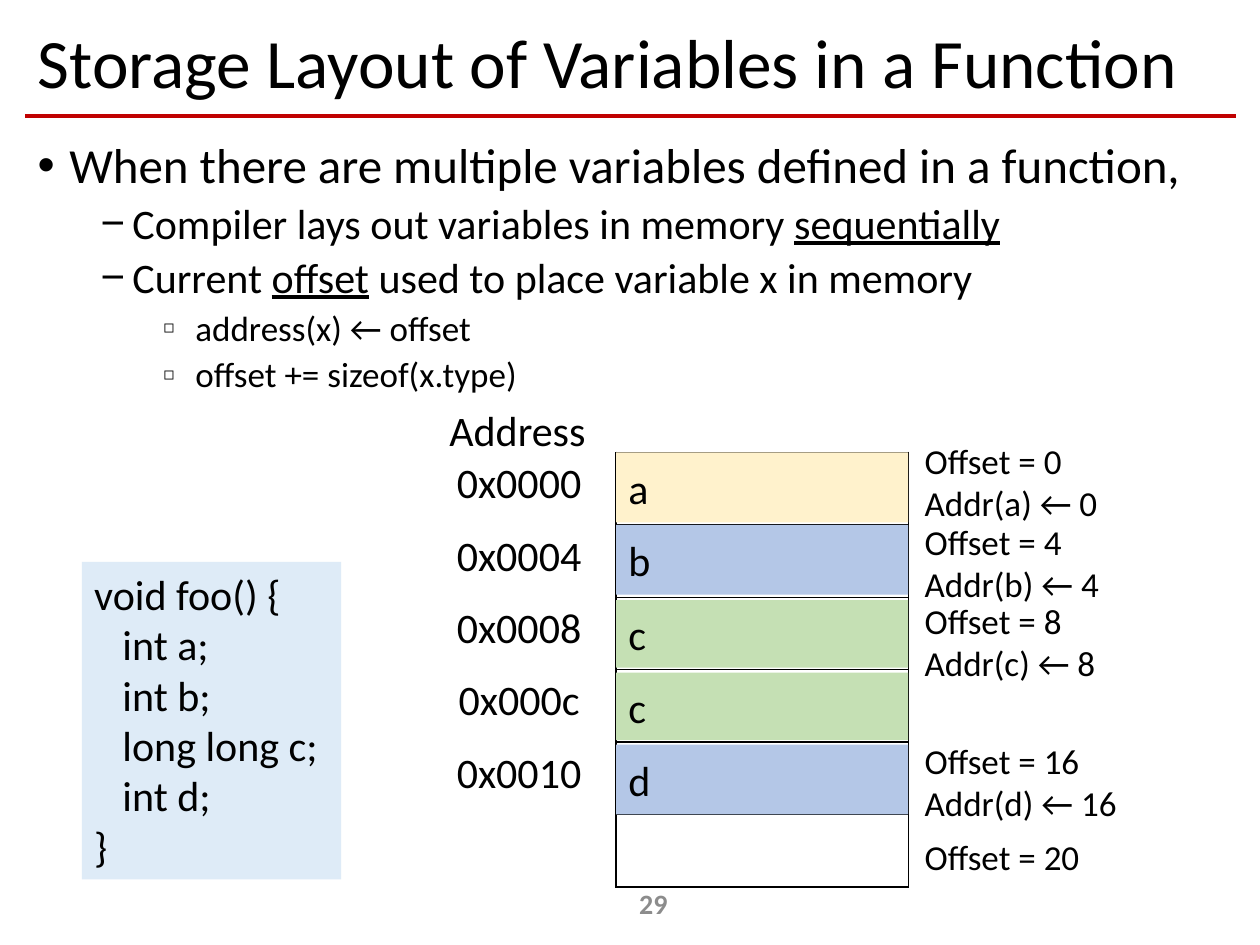
from dataclasses import dataclass
from lxml.etree import SubElement
from pptx import Presentation
from pptx.dml.color import RGBColor
from pptx.enum.shapes import MSO_CONNECTOR, MSO_SHAPE
from pptx.enum.text import MSO_ANCHOR, PP_ALIGN
from pptx.oxml import parse_xml
from pptx.oxml.ns import nsdecls, qn
from pptx.util import Cm, Pt


@dataclass(frozen=True)
class Theme:
    font: str = "Calibri"
    black: str = "000000"
    gray: str = "8C8C8C"
    red: str = "C00000"
    code: str = "DEEBF7"
    yellow: str = "FFF2CC"
    blue: str = "B4C7E7"
    green: str = "C5E0B4"
    title: float = 39.6
    heading: int = 28
    normal: int = 24
    small: int = 20
    page: int = 16


THEME = Theme()
# Bullet levels: left indent (cm), type size, space before, character, bullet percent
LEVELS = [
    (0.64, THEME.heading, 10, "•", 100),
    (1.91, THEME.normal, 5, "−", 100),
    (3.18, THEME.small, 5, "◻", 50),
]
ROW = 1.46
ROW_COUNT = 6


def write(paragraph, text, size=THEME.normal, color=THEME.black, bold=False,
          align=PP_ALIGN.LEFT, spacing=None, before=None, indent=0, hanging=0):
    """Write one paragraph; parts between underscores are underlined."""
    paragraph.alignment = align
    if spacing:
        paragraph.line_spacing = spacing
    if before is not None:
        paragraph.space_before = Pt(before)
    if indent:
        properties = paragraph._p.get_or_add_pPr()
        properties.set("marL", str(Cm(indent)))
        properties.set("indent", str(Cm(-hanging)))
    for index, part in enumerate(text.split("_")):
        if part:
            run = paragraph.add_run()
            run.text = part
            run.font.name = THEME.font
            run.font.size = Pt(size)
            run.font.bold = bold
            run.font.color.rgb = RGBColor.from_string(color)
            if index % 2:
                run.font.underline = True


def next_paragraph(frame, index):
    return frame.add_paragraph() if index else frame.paragraphs[0]


def add_text_box(slide, box, lines=(), anchor=MSO_ANCHOR.TOP, wrap=True, **style):
    frame = slide.shapes.add_textbox(*map(Cm, box)).text_frame
    frame.word_wrap = wrap
    frame.vertical_anchor = anchor
    for index, line in enumerate(lines):
        write(next_paragraph(frame, index), line, **style)
    return frame


def add_block(slide, box, color, anchor=MSO_ANCHOR.MIDDLE):
    shape = slide.shapes.add_shape(MSO_SHAPE.RECTANGLE, *map(Cm, box))
    shape.shadow.inherit = False
    shape.fill.solid()
    shape.fill.fore_color.rgb = RGBColor.from_string(color)
    shape.line.fill.background()
    shape.text_frame.vertical_anchor = anchor
    return shape.text_frame


def add_column(slide, box, texts, border=None):
    """Add a table of one column, with a black grid or none."""
    height = box[3]
    table = slide.shapes.add_table(len(texts), 1, *map(Cm, box)).table
    table.first_row = table.horz_banding = False
    for row, text in zip(table.rows, texts):
        row.height = Cm(height / len(texts))
        cell = row.cells[0]
        cell.fill.background()
        write(cell.text_frame.paragraphs[0], text, align=PP_ALIGN.CENTER)
        paint = f'<a:solidFill><a:srgbClr val="{border}"/></a:solidFill>' if border else "<a:noFill/>"
        for index, side in enumerate(("lnL", "lnR", "lnT", "lnB")):
            line = parse_xml(f'<a:{side} {nsdecls("a")} w="12700">{paint}</a:{side}>')
            cell._tc.get_or_add_tcPr().insert(index, line)


def add_title(slide, box):
    left, top, width, height = box
    rule = slide.shapes.add_connector(MSO_CONNECTOR.STRAIGHT, Cm(left), Cm(top + height),
                                      Cm(left + width), Cm(top + height))
    rule.line.color.rgb = RGBColor.from_string(THEME.red)
    rule.line.width = Pt(2.5)
    SubElement(rule._element.spPr, qn("a:effectLst"))
    add_text_box(slide, box, ["Storage Layout of Variables in a Function"],
                 anchor=MSO_ANCHOR.MIDDLE, size=THEME.title, spacing=0.9)


def add_bullets(slide, box):
    bullets = [
        (0, "When there are multiple variables defined in a function,"),
        (1, "Compiler lays out variables in memory _sequentially_"),
        (1, "Current _offset_ used to place variable x in memory"),
        (2, "address(x) ← offset"),
        (2, "offset += sizeof(x.type)"),
    ]
    frame = add_text_box(slide, box)
    for index, (level, text) in enumerate(bullets):
        indent, size, before, character, percent = LEVELS[level]
        paragraph = next_paragraph(frame, index)
        paragraph.level = level
        write(paragraph, text, size=size, spacing=0.9, before=before, indent=indent, hanging=0.64)
        properties = paragraph._p.get_or_add_pPr()
        SubElement(properties, qn("a:buSzPct")).set("val", str(percent * 1000))
        SubElement(properties, qn("a:buFont")).set("typeface", "Arial")
        SubElement(properties, qn("a:buChar")).set("char", character)


def add_code(slide, box):
    frame = add_block(slide, box, THEME.code, anchor=MSO_ANCHOR.TOP)
    frame.word_wrap = False
    lines = [("void foo() {", 0), ("int a;", 0.57), ("int b;", 0.57),
             ("long long c;", 0.57), ("int d;", 0.57), ("}", 0)]
    for index, (text, indent) in enumerate(lines):
        write(next_paragraph(frame, index), text, indent=indent)


def add_memory(slide, box):
    left, top, width, height = box
    address_width = 3.91
    cell_left, cell_width = left + address_width, width - address_width

    # Memory grid and addresses
    add_column(slide, (cell_left, top, cell_width, height), [""] * ROW_COUNT, THEME.black)
    add_text_box(slide, (left + 0.3, top - 1.09, 3.28, 1.27), ["Address"], wrap=False)
    addresses = ["0x0000", "0x0004", "0x0008", "0x000c", "0x0010", ""]
    add_column(slide, (left, top, address_width, height), addresses)

    # Variables: name, colour, gap below the row's top, height
    variables = [("a", THEME.yellow, 0, 1.41), ("b", THEME.blue, 0, 1.41),
                 ("c", THEME.green, 0.06, 1.36), ("c", THEME.green, 0.06, 1.36),
                 ("d", THEME.blue, 0.05, 1.41)]
    for row, (name, color, gap, block_height) in enumerate(variables):
        block = (cell_left, top + row * ROW + gap, cell_width, block_height)
        write(add_block(slide, block, color).paragraphs[0], name)

    # Offsets: top relative to the grid, variable, value
    for offset_top, name, value in [(-0.38, "a", 0), (1.24, "b", 4), (2.84, "c", 8),
                                    (5.66, "d", 16), (7.59, "", 20)]:
        lines = [f"Offset = {value}"]
        if name:
            lines.append(f"Addr({name}) ← {value}")
        add_text_box(slide, (left + width + 0.08, top + offset_top, 5, 0.98 * len(lines)),
                     lines, size=THEME.small)


def add_page_number(slide, box):
    add_text_box(slide, box, ["29"], anchor=MSO_ANCHOR.MIDDLE, size=THEME.page,
                 color=THEME.gray, bold=True, align=PP_ALIGN.CENTER)


def main():
    presentation = Presentation()
    presentation.slide_width, presentation.slide_height = Cm(25.4), Cm(19.05)
    slide = presentation.slides.add_slide(presentation.slide_layouts[6])
    add_title(slide, (0.51, 0.33, 24.4, 2.01))
    add_bullets(slide, (0.51, 2.72, 24.4, 5.94))
    add_page_number(slide, (10.31, 17.7, 5.72, 1.02))
    add_code(slide, (1.65, 11.33, 5.23, 6.4))
    add_memory(slide, (8.51, 9.12, 9.8, ROW * ROW_COUNT))
    presentation.save("out.pptx")


if __name__ == "__main__":
    main()
